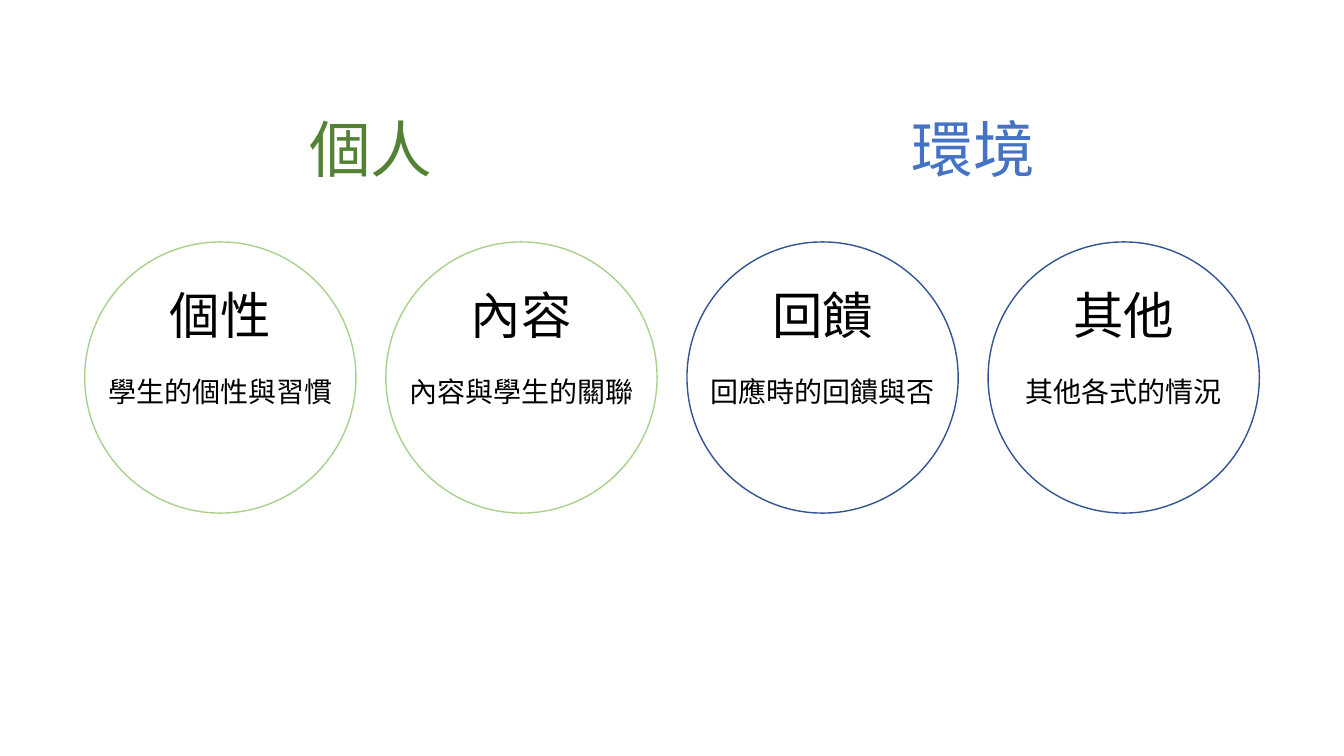
from pptx import Presentation
from pptx.dml.color import RGBColor
from pptx.enum.shapes import MSO_SHAPE
from pptx.enum.text import MSO_AUTO_SIZE, PP_ALIGN
from pptx.oxml.ns import qn
from pptx.util import Inches, Pt
from lxml.etree import SubElement

FONT = "Noto Sans CJK JP"
BLACK = RGBColor(0x00, 0x00, 0x00)
GREEN = RGBColor(0x54, 0x82, 0x35)
LIGHT_GREEN = RGBColor(0xA9, 0xD1, 0x8E)
BLUE = RGBColor(0x44, 0x72, 0xC4)
DARK_BLUE = RGBColor(0x32, 0x54, 0x91)

LEFT = 0.84
CIRCLE_TOP = 2.4
DIAMETER = 2.69
PITCH = 8.96 / 3
HEADING_WIDTH = 1.9

GROUPS = [
    ("個人", GREEN, LIGHT_GREEN,
     [("個性", "學生的個性與習慣"), ("內容", "內容與學生的關聯")]),
    ("環境", BLUE, DARK_BLUE,
     [("回饋", "回應時的回饋與否"), ("其他", "其他各式的情況")]),
]

presentation = Presentation()
presentation.slide_width = Inches(13.33)
presentation.slide_height = Inches(7.5)
slide = presentation.slides.add_slide(presentation.slide_layouts[6])


def add_label(text, center, top, width, height, size, color):
    label = slide.shapes.add_textbox(
        Inches(center - width / 2), Inches(top), Inches(width), Inches(height))
    frame = label.text_frame
    frame.word_wrap = True
    frame.auto_size = MSO_AUTO_SIZE.SHAPE_TO_FIT_TEXT
    paragraph = frame.paragraphs[0]
    paragraph.alignment = PP_ALIGN.CENTER
    run = paragraph.add_run()
    run.text = text
    run.font.size = Pt(size)
    run.font.color.rgb = color
    run.font.name = FONT
    SubElement(run.font._element, qn("a:ea")).set("typeface", FONT)


for group_index, (group, title_color, outline, factors) in enumerate(GROUPS):
    group_left = LEFT + group_index * 2 * PITCH
    for factor_index, (factor, description) in enumerate(factors):
        left = group_left + factor_index * PITCH
        center = left + DIAMETER / 2
        circle = slide.shapes.add_shape(
            MSO_SHAPE.OVAL, Inches(left), Inches(CIRCLE_TOP),
            Inches(DIAMETER), Inches(DIAMETER))
        circle.shadow.inherit = False
        circle.fill.background()
        circle.line.color.rgb = outline
        circle.line.width = Pt(1)
        add_label(factor, center, 2.77, HEADING_WIDTH, 0.71, 36, BLACK)
        add_label(description, center, 3.67, DIAMETER, 0.44, 20, BLACK)
    group_center = group_left + (PITCH + DIAMETER) / 2
    add_label(group, group_center, 1.05, HEADING_WIDTH, 0.84, 44, title_color)

presentation.save("out.pptx")
